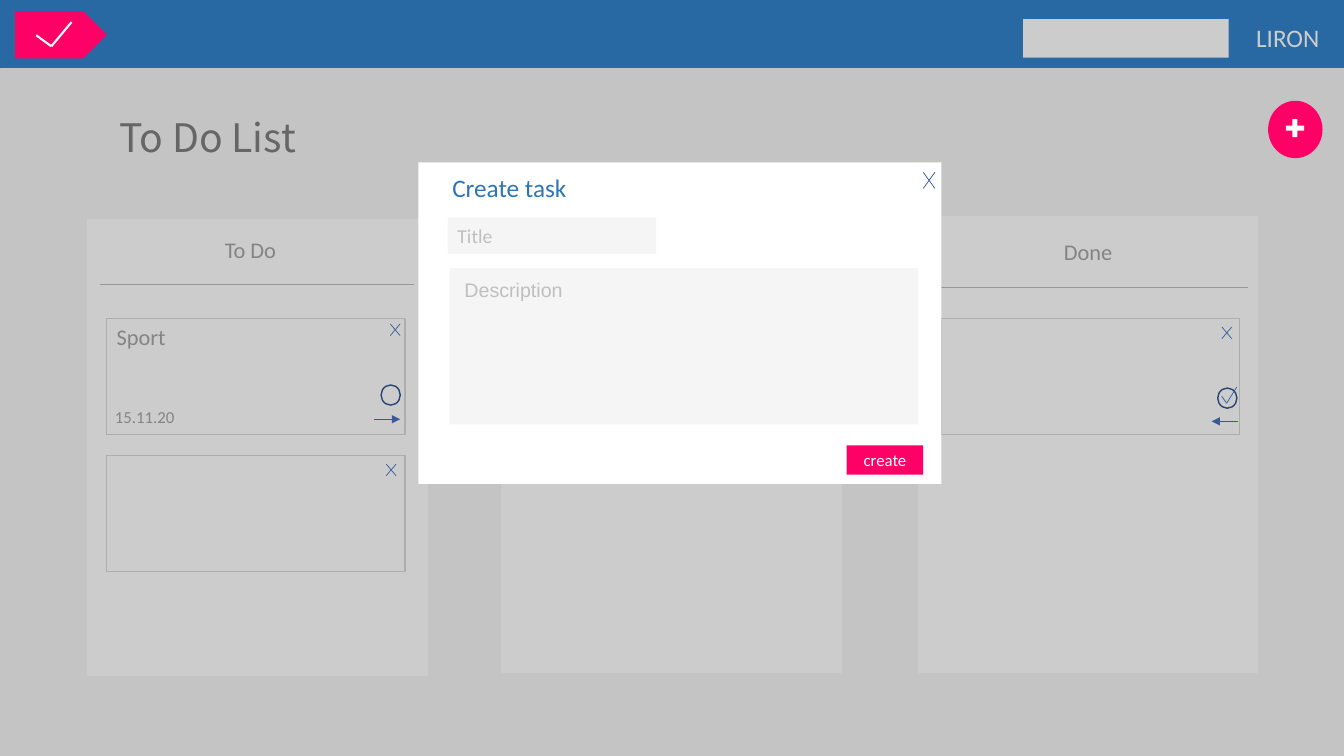
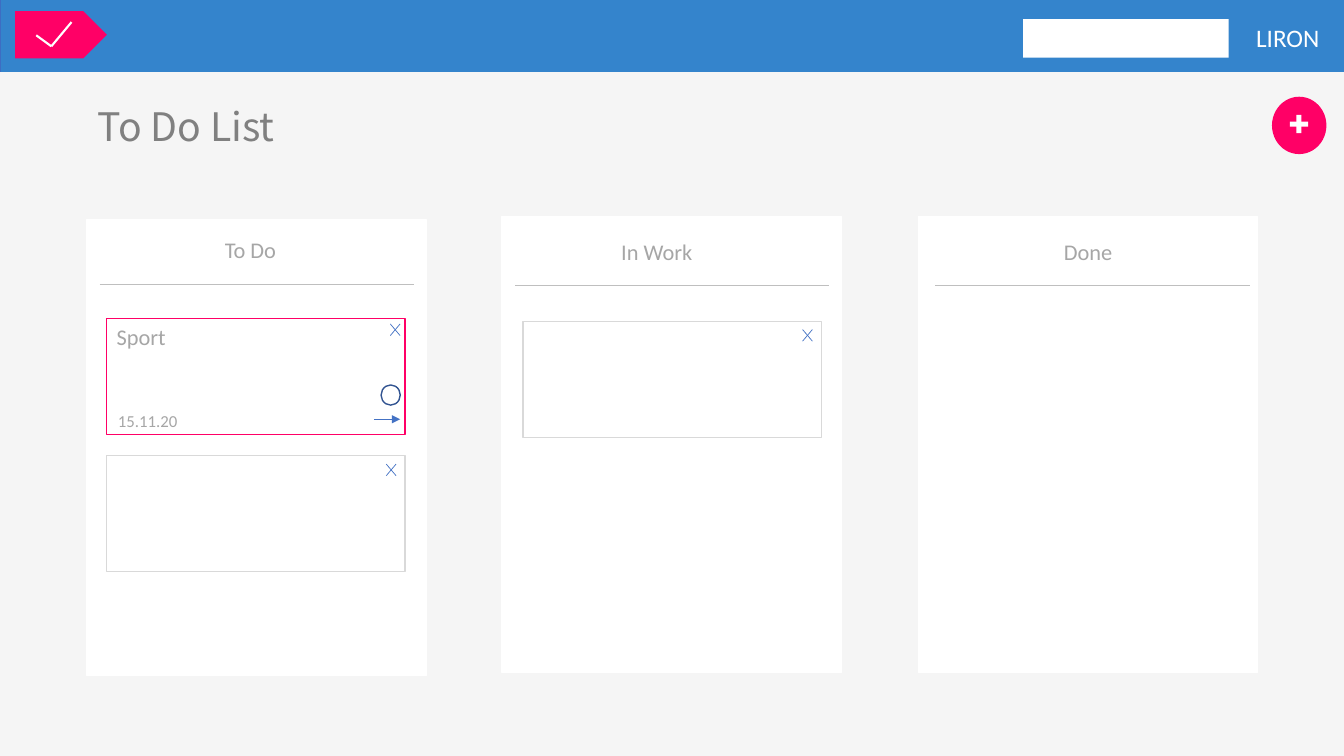
from lxml import etree
from pptx import Presentation
from pptx.dml.color import RGBColor
from pptx.enum import shapes as kinds, text as styles
from pptx.oxml import ns
from pptx.util import Pt

WHITE = RGBColor(0xFF, 0xFF, 0xFF)
BLACK = RGBColor(0, 0, 0)
HEADER_BLUE = RGBColor(0x34, 0x84, 0xCC)
HEADER_EDGE = RGBColor(0x3D, 0x6D, 0xC3)
PAGE = RGBColor(0xF5, 0xF5, 0xF5)
PINK = RGBColor(0xFF, 0x00, 0x66)
TITLE_GREY = RGBColor(0x80, 0x80, 0x80)
LABEL_GREY = RGBColor(0xA6, 0xA6, 0xA6)
RULE_GREY = RGBColor(0xBF, 0xBF, 0xBF)
CARD_GREY = RGBColor(0xD9, 0xD9, 0xD9)
ICON_BLUE = RGBColor(0x44, 0x72, 0xC4)
CIRCLE_BLUE = RGBColor(0x32, 0x54, 0x91)
CLOSE_BLUE = RGBColor(0x2F, 0x55, 0x97)
DIALOG_BLUE = RGBColor(0x2E, 0x75, 0xB6)

RECT = kinds.MSO_SHAPE.RECTANGLE
OVAL = kinds.MSO_SHAPE.OVAL
LEFT, CENTER = styles.PP_ALIGN.LEFT, styles.PP_ALIGN.CENTER

COLUMN_SIZE = (242.6, 325.4)
HEADING_SIZE = (134.6, 28.8)
CARD_SIZE = (213, 82.8)
RULE_WIDTH = 224.6

TODO_HEADING = ("To Do", 111.6, 164.2)
WORK_HEADING = ("In Work", 401.8, 165)
DONE_HEADING = ("Done", 709.9, 165.6)
SPORT_DONE_ICONS = dict(circle=(272.2, 275), arrow=((267.1, 299.5), (285.8, 299.5)))

BOARDS = [
    dict(
        header=(-1.5, -2, 962.6, 51.8), header_edge=WHITE,
        body=(0.7, 49, 962, 496),
        title=(51.1, 76.3, 194.4, 43.2),
        columns=[(62.6, 157), (358.6, 154.8), (655.9, 154.8)],
        headings=[TODO_HEADING, DONE_HEADING],
        rules=[(71.3, 203), (666.7, 205.2)],
        cards=[
            dict(at=(76.3, 227.5), edge=CARD_GREY, close=(278.8, 231.4), task="Sport",
                 date=("15.11.20", 36.7, 285.8), **SPORT_DONE_ICONS),
            dict(at=(76.3, 325.4), edge=CARD_GREY, close=(275.9, 331.5)),
            dict(at=(672.5, 227.5), edge=CARD_GREY, close=(872.8, 233.6),
                 circle=(869.8, 277.2), arrow=((884.2, 301), (865.4, 301)),
                 check=[(872.6, 283), (876.2, 288), (883.4, 276.5)]),
        ],
        add_button=(905.8, 72), dialog=True,
    ),
    dict(
        header=(0, -2.9, 962.6, 54.7), header_edge=HEADER_EDGE,
        body=(0, 51.8, 960, 496),
        title=(38.9, 68.4, 187.9, 43.2),
        columns=[(61.9, 157), (358.6, 154.8), (655.9, 154.8)],
        headings=[TODO_HEADING, WORK_HEADING, DONE_HEADING],
        rules=[(71.3, 203), (367.9, 203.8), (668.2, 203.8)],
        cards=[
            dict(at=(76.3, 227.5), edge=PINK, close=(278.8, 231.4), task="Sport",
                 date=("15.11.20", 38.9, 288), **SPORT_DONE_ICONS),
            dict(at=(76.3, 325.4), edge=CARD_GREY, close=(275.9, 331.5)),
            dict(at=(373.7, 229.7), edge=CARD_GREY, close=(573.3, 235.4)),
        ],
        add_button=(908.6, 69.1), dialog=False,
    ),
]


def points(values):
    return [Pt(value) for value in values]


def write(target, words, size, colour, align=CENTER, font="Calibri"):
    frame = target.text_frame
    frame.word_wrap = True
    frame.auto_size = styles.MSO_AUTO_SIZE.NONE
    frame.vertical_anchor = styles.MSO_ANCHOR.MIDDLE
    paragraph = frame.paragraphs[0]
    paragraph.alignment = align
    run = paragraph.add_run()
    run.text = words
    run.font.size = Pt(size)
    run.font.name = font
    run.font.color.rgb = colour


def label(slide, box, words, size, colour, align=CENTER, font="Calibri"):
    write(slide.shapes.add_textbox(*points(box)), words, size, colour, align, font)


def block(slide, box, fill=None, edge=None, kind=RECT):
    shape = slide.shapes.add_shape(kind, *points(box))
    shape.shadow.inherit = False
    if fill is None:
        shape.fill.background()
    else:
        shape.fill.solid()
        shape.fill.fore_color.rgb = fill
    if edge is None:
        shape.line.fill.background()
    else:
        shape.line.color.rgb = edge
        shape.line.width = Pt(1)
    return shape


def stroke(slide, start, end, colour, width=0.5, arrow=False):
    line = slide.shapes.add_connector(
        kinds.MSO_CONNECTOR.STRAIGHT, *points(start + end))
    line.line.color.rgb = colour
    line.line.width = Pt(width)
    if arrow:
        outline = line.line._get_or_add_ln()
        etree.SubElement(outline, ns.qn("a:tailEnd"), type="triangle")
    etree.SubElement(line.element.spPr, ns.qn("a:effectLst"))


def check_mark(slide, corners, colour, width=0.5):
    for start, end in zip(corners, corners[1:]):
        stroke(slide, start, end, colour, width)


def close_mark(slide, x, y, width=7, height=8.3, colour=ICON_BLUE):
    stroke(slide, (x, y), (x + width, y + height), colour)
    stroke(slide, (x, y + height), (x + width, y), colour)


def draw_card(slide, card):
    block(slide, card["at"] + CARD_SIZE, edge=card["edge"])
    close_mark(slide, *card["close"])
    if "task" in card:
        x, y = card["at"]
        label(slide, (x, y + 0.5, CARD_SIZE[0], 24.5), card["task"], 16, LABEL_GREY, LEFT)
    if "date" in card:
        date, x, y = card["date"]
        label(slide, (x, y, 133.2, 24.5), date, 12, LABEL_GREY)
    if "circle" in card:
        block(slide, card["circle"] + (13.7, 14.4), edge=CIRCLE_BLUE, kind=OVAL)
        stroke(slide, *card["arrow"], ICON_BLUE, arrow=True)
    check_mark(slide, card.get("check", []), ICON_BLUE)


def draw_dialog(slide):
    shade = block(slide, (-2.2, -3.6, 962.6, 547.9), BLACK, CIRCLE_BLUE)
    shade_colour = shade.element.spPr.find(ns.qn("a:solidFill"))[0]
    etree.SubElement(shade_colour, ns.qn("a:alpha"), val="20000")
    block(slide, (298.8, 115.9, 373.7, 229.7), WHITE)
    create = block(slide, (604.8, 318.2, 54.7, 20.9), PINK)
    write(create, "create", 12, WHITE)
    title_field = block(slide, (319.7, 155.5, 149, 25.9), PAGE)
    write(title_field, "Title", 14, RULE_GREY, LEFT)
    block(slide, (321.1, 191.5, 334.8, 111.6), PAGE)
    label(slide, (289.4, 121, 149, 25.9), "Create task", 18, DIALOG_BLUE)
    label(slide, (324.7, 195.1, 113, 23.8), "Description", 14, RULE_GREY, LEFT, "Arial")
    close_mark(slide, 659.5, 123.1, 8.3, 11.5, CLOSE_BLUE)


def draw_add_button(slide, x, y):
    block(slide, (x, y, 38.9, 41), PINK, kind=OVAL)
    for turn in (0, 90):
        bar = block(slide, (x + 17.4, y + 13, 3.6, 13), WHITE)
        bar.rotation = turn


def draw_badge(slide):
    block(slide, (10.8, 7.9, 65.5, 33.8), PINK, kind=kinds.MSO_SHAPE.PENTAGON)
    check_mark(slide, [(25.9, 25.2), (36.7, 33.1), (51.1, 15.8)], WHITE, 1.5)


def draw_title(slide, box):
    title = slide.shapes.title
    title.left, title.top, title.width, title.height = points(box)
    write(title, "To Do List", 28, TITLE_GREY, font="Noto Sans CJK KR")
    title.element.getparent().append(title.element)


def draw_board(slide, board):
    block(slide, board["header"], HEADER_BLUE, board["header_edge"])
    block(slide, board["body"], PAGE, PAGE)
    for corner in board["columns"]:
        block(slide, corner + COLUMN_SIZE, WHITE, WHITE)
    draw_title(slide, board["title"])
    for words, x, y in board["headings"]:
        label(slide, (x, y) + HEADING_SIZE, words, 16, LABEL_GREY)
    for x, y in board["rules"]:
        stroke(slide, (x, y), (x + RULE_WIDTH, y), RULE_GREY)
    block(slide, (730.8, 13.7, 146.9, 27.4), WHITE)
    label(slide, (884.2, 13.7, 71.3, 26.6), "LIRON", 18, WHITE)
    for card in board["cards"]:
        draw_card(slide, card)
    if board["dialog"]:
        draw_dialog(slide)
    draw_add_button(slide, *board["add_button"])
    draw_badge(slide)


def main():
    deck = Presentation()
    deck.slide_width, deck.slide_height = Pt(960), Pt(540)
    for board in BOARDS:
        draw_board(deck.slides.add_slide(deck.slide_layouts[5]), board)
    deck.save("out.pptx")


if __name__ == "__main__":
    main()
